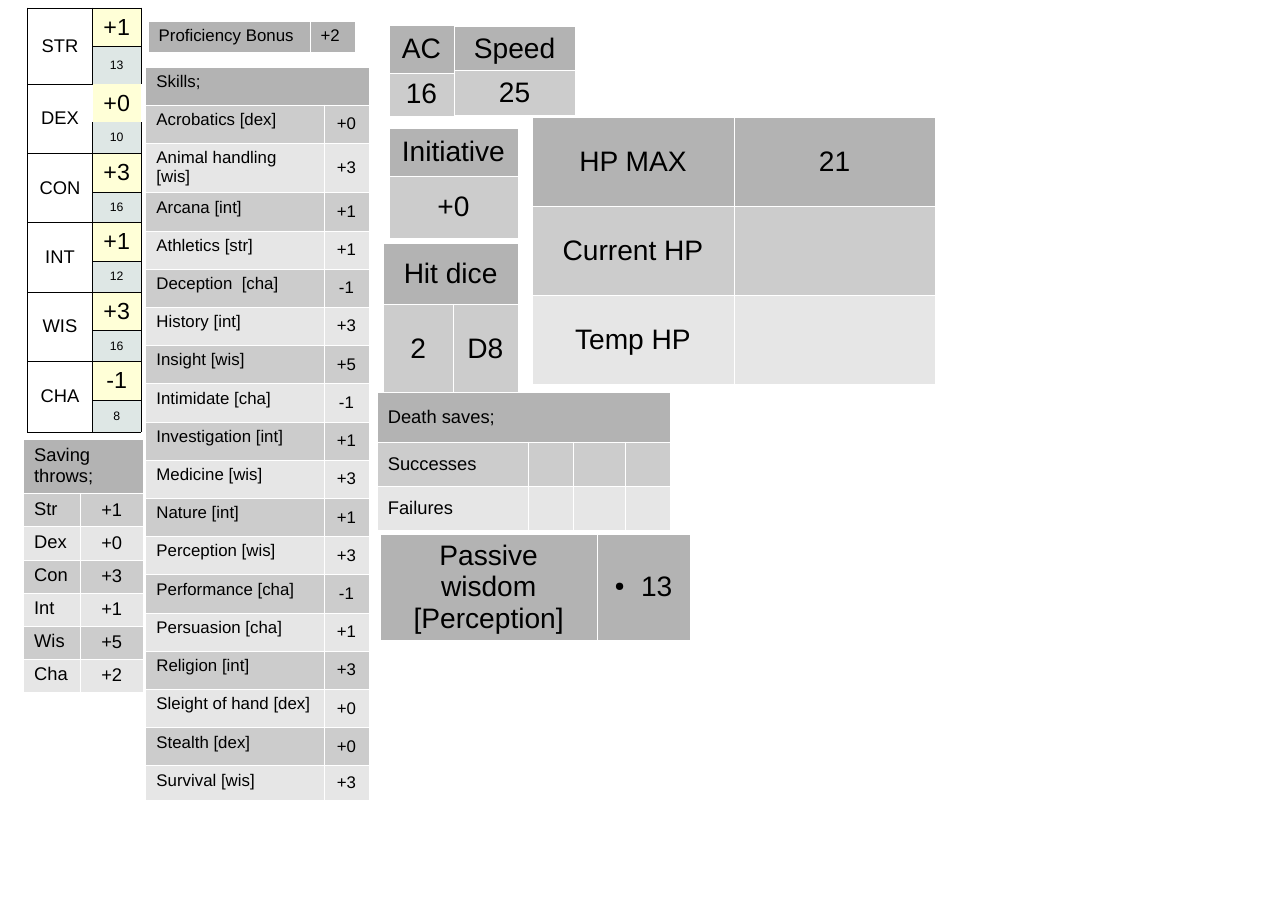
from dataclasses import dataclass

from lxml import etree
from pptx import Presentation, util as u
from pptx.dml import color
from pptx.enum import text
from pptx.oxml import ns


@dataclass(frozen=True)
class Theme:
    font: str = "Arial"
    ink: str = "000000"
    paper: str = "FFFFFF"
    header: str = "B3B3B3"
    bands: tuple[str, str] = ("CCCCCC", "E6E6E6")
    modifier: str = "FFFFD7"
    score: str = "DEE7E5"
    tiny: float = 8
    small: float = 11
    body: float = 12
    modifier_size: float = 15.2
    large: float = 18.4
    hairline: float = 0.06


THEME = Theme()
TOP, MIDDLE = text.MSO_ANCHOR.TOP, text.MSO_ANCHOR.MIDDLE
LEFT, CENTER = text.PP_ALIGN.LEFT, text.PP_ALIGN.CENTER


@dataclass(frozen=True)
class Panel:
    """A banded table; its first left_columns columns are left-aligned."""
    left: float
    top: float
    columns: list[float]
    heights: list[float]
    rows: list[tuple[str, ...]]
    size: float = THEME.large
    left_columns: int = 0
    left_anchor: text.MSO_ANCHOR = TOP
    bulleted: str = ""


@dataclass(frozen=True)
class Ability:
    name: str
    modifier: str
    score: str


@dataclass(frozen=True)
class CellStyle:
    size: float
    fill: str
    border: str = THEME.paper
    align: text.PP_ALIGN = CENTER
    anchor: text.MSO_ANCHOR = MIDDLE
    open_edges: str = ""
    side_margin: float = 0.1


def child(parent, tag: str, **attributes: str):
    return etree.SubElement(parent, ns.qn(f"a:{tag}"), attributes)


def add_grid(page, left: float, top: float, columns: list[float], heights: list[float]):
    frame = page.shapes.add_table(
        len(heights), len(columns), u.Inches(left), u.Inches(top),
        u.Inches(sum(columns)), u.Inches(sum(heights)))
    table = frame.table
    table.first_row = table.horz_banding = False
    for column, width in zip(table.columns, columns):
        column.width = u.Inches(width)
    for row, height in zip(table.rows, heights):
        row.height = u.Inches(height)
    return table


def add_bullet(para) -> None:
    properties = para._p.get_or_add_pPr()
    indent = u.Inches(0.24)
    properties.set("marL", str(indent))
    properties.set("indent", str(-indent))
    child(child(properties, "buClr"), "srgbClr", val=THEME.ink)
    child(properties, "buSzPct", val="45000")
    child(properties, "buChar", char="●")


def style_cell(cell, words: str, style: CellStyle, bullet: bool = False) -> None:
    # Borders come before the fill in the cell properties
    properties = cell._tc.get_or_add_tcPr()
    for edge in "LRTB":
        line = child(properties, f"ln{edge}", w=str(u.Pt(THEME.hairline)))
        if edge in style.open_edges:
            child(line, "noFill")
        else:
            child(child(line, "solidFill"), "srgbClr", val=style.border)
    cell.fill.solid()
    cell.fill.fore_color.rgb = color.RGBColor.from_string(style.fill)
    cell.vertical_anchor = style.anchor
    cell.margin_left = cell.margin_right = u.Inches(style.side_margin)

    para = cell.text_frame.paragraphs[0]
    if bullet:
        add_bullet(para)
    para.alignment = style.align
    if words:
        span = para.add_run()
        span.text = words
        span.font.name = THEME.font
        span.font.size = u.Pt(style.size)
        span.font.color.rgb = color.RGBColor.from_string(THEME.ink)
    else:
        child(para._p, "endParaRPr", sz=str(round(style.size * 100)))


def draw_panel(page, panel: Panel) -> None:
    table = add_grid(page, panel.left, panel.top, panel.columns, panel.heights)
    last = len(panel.columns) - 1
    for r, row in enumerate(panel.rows):
        if len(row) == 1 and last:
            table.cell(r, 0).merge(table.cell(r, last))
        fill = THEME.bands[(r - 1) % 2] if r else THEME.header
        for c in range(last + 1):
            words = row[c] if c < len(row) else ""
            is_left = c < panel.left_columns
            style = CellStyle(panel.size, fill, align=LEFT if is_left else CENTER,
                              anchor=panel.left_anchor if is_left else MIDDLE)
            style_cell(table.cell(r, c), words, style, bool(words) and words == panel.bulleted)


def draw_abilities(page, abilities: list[Ability]) -> None:
    heights = [0.35, 0.34] + [0.35, 0.28] * 4 + [0.35, 0.29]
    table = add_grid(page, 0.25, 0.07, [0.59, 0.44], heights)
    # The DEX modifier stands without lines around it
    open_edges = {(1, 1): "B", (2, 0): "R", (2, 1): "LRTB", (3, 1): "T"}
    for i, ability in enumerate(abilities):
        r = 2 * i
        table.cell(r, 0).merge(table.cell(r + 1, 0))
        parts = [(r, 0, ability.name, THEME.body, THEME.paper),
                 (r + 1, 0, "", THEME.tiny, THEME.paper),
                 (r, 1, ability.modifier, THEME.modifier_size, THEME.modifier),
                 (r + 1, 1, ability.score, THEME.tiny, THEME.score)]
        for row, column, words, size, fill in parts:
            # Narrow side margins keep each modifier on one line
            style = CellStyle(size, fill, THEME.ink, side_margin=0.05,
                              open_edges=open_edges.get((row, column), ""))
            style_cell(table.cell(row, column), words, style)


ABILITIES = [
    Ability("STR", "+1", "13"), Ability("DEX", "+0", "10"), Ability("CON", "+3", "16"),
    Ability("INT", "+1", "12"), Ability("WIS", "+3", "16"), Ability("CHA", "-1", "8"),
]

SKILLS = [
    ("Acrobatics [dex]", "+0"), ("Animal handling [wis]", "+3"), ("Arcana [int]", "+1"),
    ("Athletics [str]", "+1"), ("Deception  [cha]", "-1"), ("History [int]", "+3"),
    ("Insight [wis]", "+5"), ("Intimidate [cha]", "-1"), ("Investigation [int]", "+1"),
    ("Medicine [wis]", "+3"), ("Nature [int]", "+1"), ("Perception [wis]", "+3"),
    ("Performance [cha]", "-1"), ("Persuasion [cha]", "+1"), ("Religion [int]", "+3"),
    ("Sleight of hand [dex]", "+0"), ("Stealth [dex]", "+0"), ("Survival [wis]", "+3"),
]
SKILL_ROW = 5.55 / 16

SAVES = [("Str", "+1"), ("Dex", "+0"), ("Con", "+3"), ("Int", "+1"), ("Wis", "+5"), ("Cha", "+2")]

PANELS = [
    # Skills, proficiency and saving throws
    Panel(1.32, 0.61, [1.62, 0.41], [0.34, SKILL_ROW, 0.45] + [SKILL_ROW] * 15 + [0.31],
          [("Skills;",), *SKILLS], THEME.small, left_columns=1),
    Panel(1.34, 0.19, [1.47, 0.41], [0.28], [("Proficiency Bonus", "+2")],
          THEME.small, left_columns=2),
    Panel(0.21, 3.99, [0.52, 0.57], [0.49] + [0.3] * 6,
          [("Saving throws;",), *SAVES], THEME.body, left_columns=1),
    # Combat numbers
    Panel(4.12, 0.24, [1.1], [0.4, 0.4], [("Speed",), ("25",)]),
    Panel(3.53, 1.16, [1.17], [0.44, 0.56], [("Initiative",), ("+0",)]),
    Panel(3.53, 0.23, [0.59], [0.43, 0.39], [("AC",), ("16",)]),
    # Hit points and survival
    Panel(3.48, 2.21, [0.63, 0.59], [0.55, 0.81], [("Hit dice",), ("2", "D8")]),
    Panel(4.83, 1.06, [1.83] * 2, [0.81] * 3,
          [("HP MAX", "21"), ("Current HP", ""), ("Temp HP", "")]),
    Panel(3.42, 3.56, [1.37, 0.41, 0.47, 0.41], [0.45, 0.4, 0.4],
          [("Death saves;",), ("Successes", "", "", ""), ("Failures", "", "", "")],
          THEME.body, left_columns=1, left_anchor=MIDDLE),
    Panel(3.45, 4.85, [1.97, 0.84], [0.96],
          [("Passive wisdom [Perception]", "13")], bulleted="13"),
]


def main() -> None:
    deck = Presentation()
    deck.slide_width, deck.slide_height = u.Inches(11.69), u.Inches(8.27)
    page = deck.slides.add_slide(deck.slide_layouts[6])
    draw_abilities(page, ABILITIES)
    for panel in PANELS:
        draw_panel(page, panel)
    deck.save("out.pptx")


if __name__ == "__main__":
    main()
